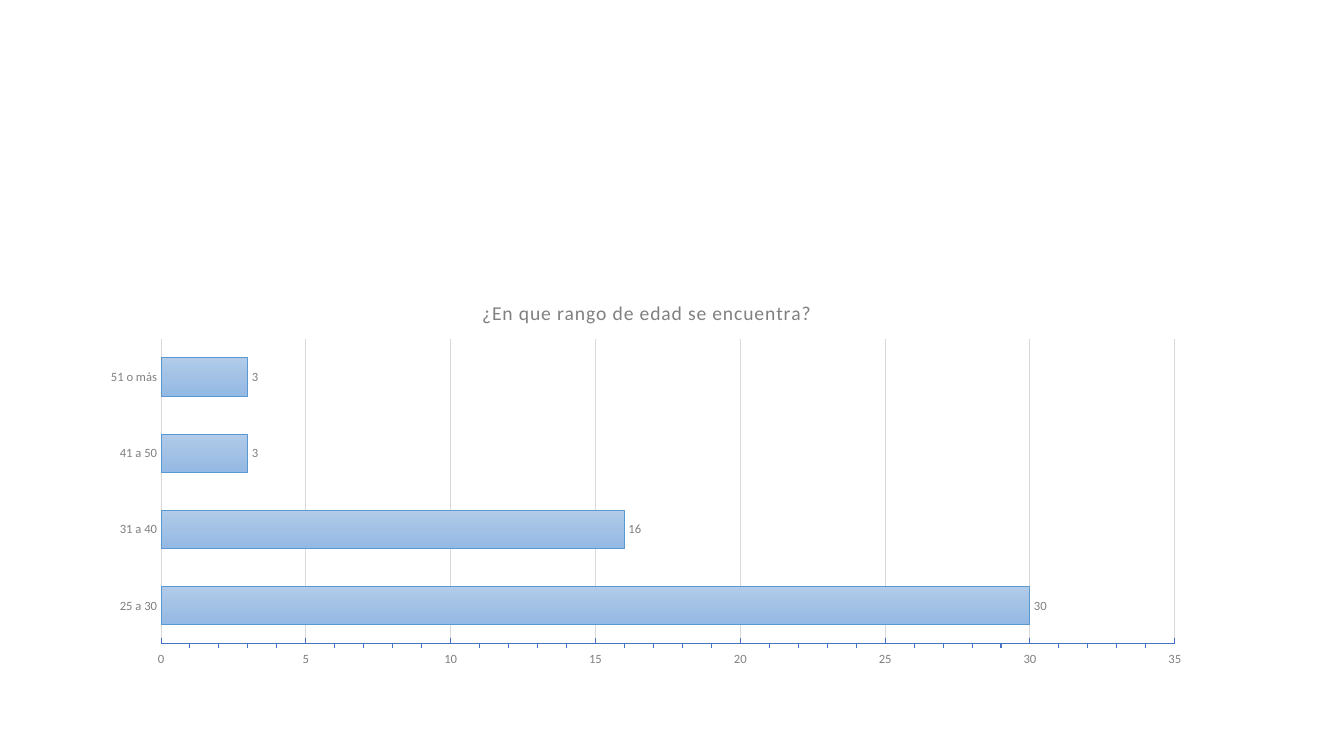
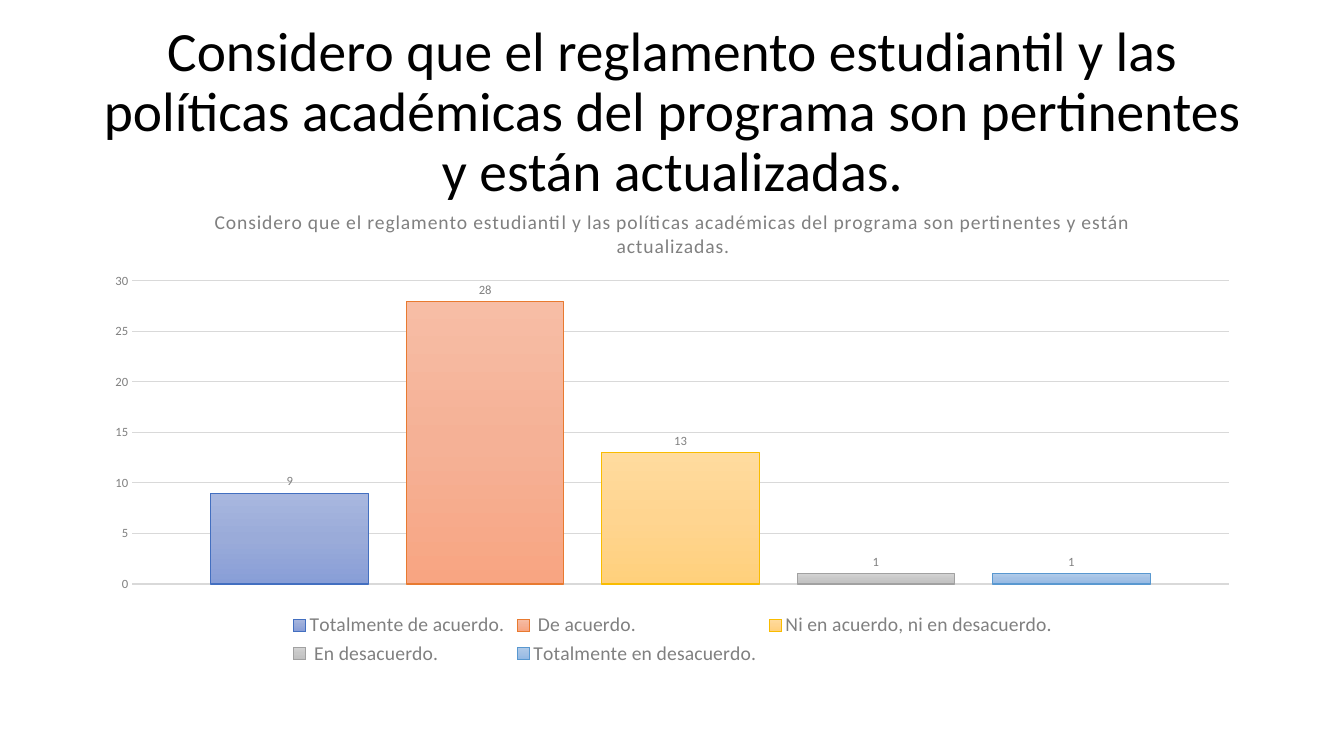
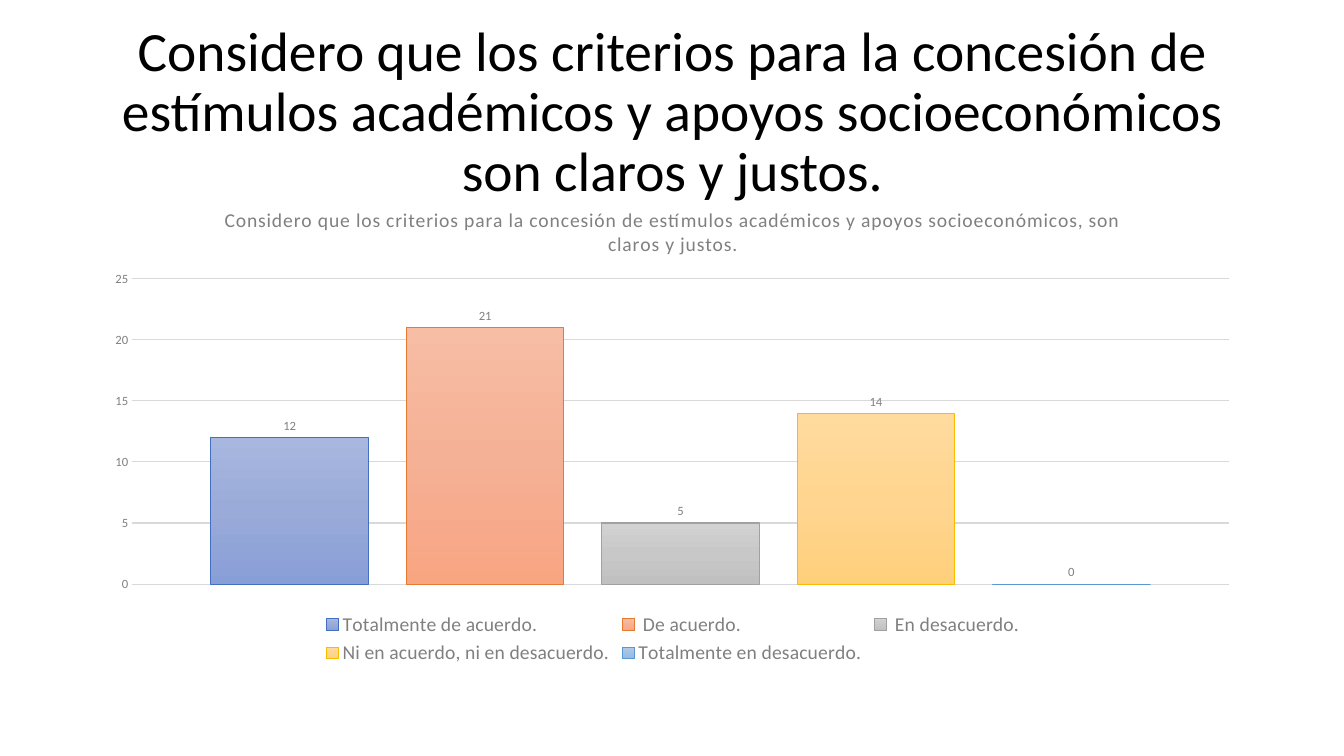
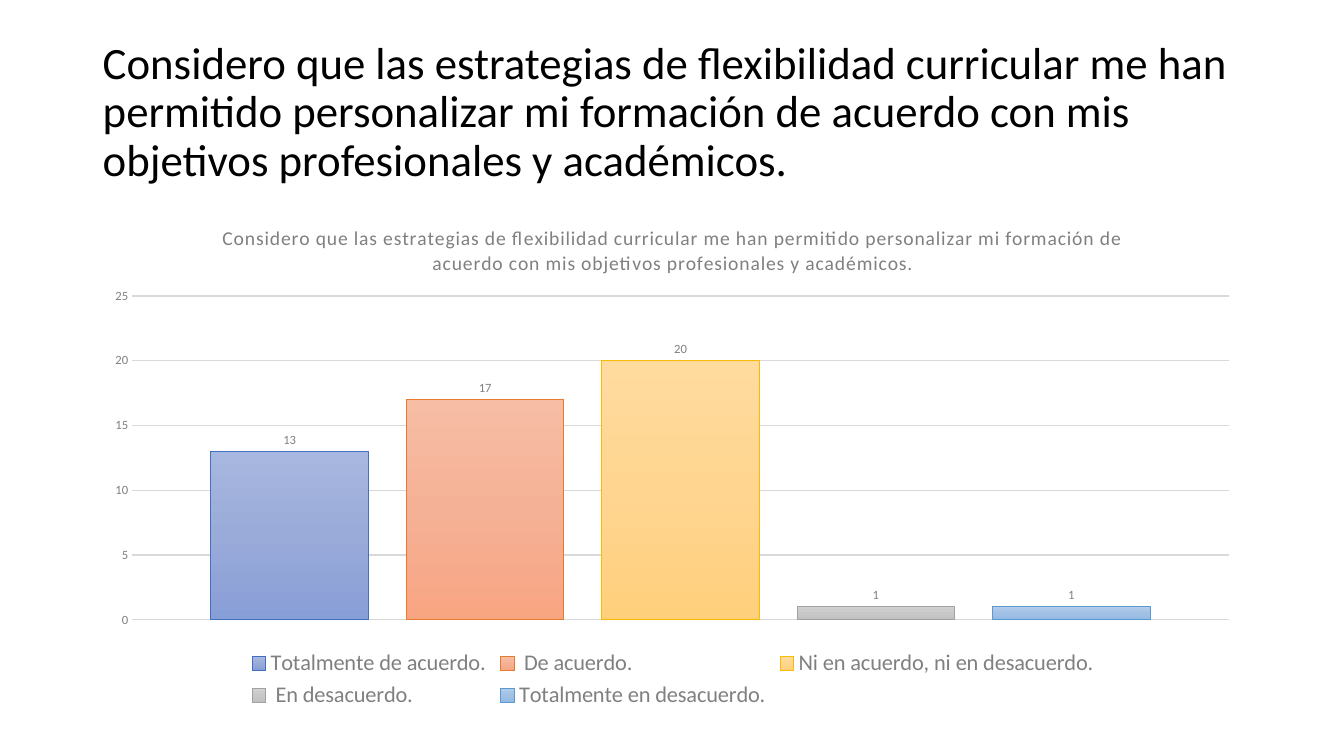
from copy import deepcopy

from pptx import Presentation
from pptx.chart.data import CategoryChartData
from pptx.dml.color import RGBColor
from pptx.enum import chart as kinds, text
from pptx.oxml import parse_xml
from pptx.oxml.ns import nsdecls, qn
from pptx.util import Cm, Pt

FONT = "Calibri"
BLACK = RGBColor(0x00, 0x00, 0x00)
GREY = RGBColor(0x80, 0x80, 0x80)
RULE = RGBColor(0xD9, 0xD9, 0xD9)
AXIS_BLUE = RGBColor(0x44, 0x72, 0xC4)


def palette(*codes):
    return [RGBColor.from_string(code) for code in codes]


INDIGO = palette("A8B7DF", "9AABD9", "889ED7", "436FC0")
ORANGE = palette("F7BDA5", "F5B196", "F8A582", "E87A30")
YELLOW = palette("FFDB9E", "FFD590", "FFD07C", "F9BC00")
SILVER = palette("D2D2D2", "C8C8C8", "C0C0C0", "A1A1A1")
SKY = palette("B1CBE9", "A3C1E5", "93B9E4", "5998D0")

FULLY_AGREE = "Totalmente de acuerdo."
AGREE = " De acuerdo."
NEUTRAL = "Ni en acuerdo, ni en desacuerdo."
DISAGREE = " En desacuerdo."
FULLY_DISAGREE = "Totalmente en desacuerdo."
ANSWER_COLOURS = {FULLY_AGREE: INDIGO, AGREE: ORANGE, NEUTRAL: YELLOW,
                  DISAGREE: SILVER, FULLY_DISAGREE: SKY}

HEADING_BOX = (2.34, 1.02, 29.21, 3.68)
AGE_BOX = (2.24, 7.11, 28.12, 9.91)
AGE_PLOT = (4.06, 8.54, 25.55, 7.69)
ANSWER_LEFT, ANSWER_WIDTH = 2.34, 29.24
PLOT_LEFT, PLOT_WIDTH = 3.33, 27.64

AGE_QUESTION = "¿En que rango de edad se encuentra?"
AGES = {"25 a 30": 30, "31 a 40": 16, "41 a 50": 3, "51 o más": 3}

RULES = ("Considero que el reglamento estudiantil y las políticas académicas "
         "del programa son pertinentes y están actualizadas.")
FLEXIBILITY = ("Considero que las estrategias de flexibilidad curricular me han "
               "permitido personalizar mi formación de acuerdo con mis objetivos "
               "profesionales y académicos.")

QUESTIONS = [
    dict(heading=RULES, size=39.6, align=text.PP_ALIGN.CENTER, question=RULES,
         answers={FULLY_AGREE: 9, AGREE: 28, NEUTRAL: 13, DISAGREE: 1, FULLY_DISAGREE: 1},
         rows=(4.78, 12.09), plot_rows=(7.08, 7.64), maximum=30, legend_size=14),
    dict(heading="Considero que los criterios para la concesión de estímulos "
                 "académicos y apoyos socioeconómicos son claros y justos.",
         size=39.6, align=text.PP_ALIGN.CENTER,
         question="Considero que los criterios para la concesión de estímulos "
                  "académicos y apoyos socioeconómicos, son claros y justos.",
         answers={FULLY_AGREE: 12, AGREE: 21, DISAGREE: 5, NEUTRAL: 14, FULLY_DISAGREE: 0},
         rows=(4.72, 12.14), plot_rows=(7.03, 7.69), maximum=25, legend_size=14),
    dict(heading=FLEXIBILITY, size=32, align=text.PP_ALIGN.LEFT, question=FLEXIBILITY,
         answers={FULLY_AGREE: 13, AGREE: 17, NEUTRAL: 20, DISAGREE: 1, FULLY_DISAGREE: 1},
         rows=(5.18, 12.8), plot_rows=(7.46, 8.16), maximum=25, legend_size=16),
]


def style_font(font, size, colour=GREY):
    font.name = FONT
    font.size = Pt(size)
    font.bold = False
    font.color.rgb = colour


def style_line(line, colour):
    line.color.rgb = colour
    line.width = Pt(0.75)


def add_heading(page, words, size, align):
    box = page.shapes.add_textbox(*map(Cm, HEADING_BOX))
    frame = box.text_frame
    frame.word_wrap = True
    frame.vertical_anchor = text.MSO_ANCHOR.MIDDLE
    para = frame.paragraphs[0]
    para.alignment = align
    para.line_spacing = 0.9
    span = para.add_run()
    span.text = words
    style_font(span.font, size, BLACK)


def place_plot(chart, box, plot_box):
    left, top, width, height = box
    x, y, w, h = plot_box
    shares = dict(x=(x - left) / width, y=(y - top) / height, w=w / width, h=h / height)
    values = "".join(f'<c:{key} val="{share:.4f}"/>' for key, share in shares.items())
    layout = parse_xml(
        f'<c:layout {nsdecls("c")}><c:manualLayout><c:layoutTarget val="inner"/>'
        f'<c:xMode val="edge"/><c:yMode val="edge"/>{values}</c:manualLayout></c:layout>')
    area = chart._chartSpace.chart.plotArea
    for old in area.findall(qn("c:layout")):
        area.remove(old)
    area.insert(0, layout)


def style_series(series, colours):
    *shades, edge = colours
    fill = series.format.fill
    fill.gradient()
    fill.gradient_angle = 270
    first = next(series._element.iter(qn("a:gs")))
    first.addnext(deepcopy(first))
    for stop, shade, position in zip(fill.gradient_stops, shades, (0, 0.5, 1)):
        stop.color.rgb = shade
        stop.position = position
    style_line(series.format.line, edge)
    series.invert_if_negative = False
    labels = series.data_labels
    labels.show_value = True
    labels.position = kinds.XL_LABEL_POSITION.OUTSIDE_END
    style_font(labels.font, 9)


def add_bars(page, kind, question, categories, series_values, colours, box, plot_box, maximum):
    data = CategoryChartData()
    data.categories = categories
    for name, values in series_values.items():
        data.add_series(name, values)
    chart = page.shapes.add_chart(kind, *map(Cm, box), data).chart
    style_font(chart.font, 10, BLACK)
    chart.has_legend = False
    chart.has_title = True
    span = chart.chart_title.text_frame.paragraphs[0].add_run()
    span.text = question
    style_font(span.font, 14)
    span._r.get_or_add_rPr().set("spc", "50")
    chart.chart_title.include_in_layout = False
    place_plot(chart, box, plot_box)

    plot = chart.plots[0]
    plot.vary_by_categories = False
    plot.gap_width = 100
    for series, shades in zip(plot.series, colours):
        style_series(series, shades)

    axis = chart.value_axis
    axis.minimum_scale, axis.maximum_scale = 0, maximum
    axis.major_unit = 5
    axis.major_tick_mark = kinds.XL_TICK_MARK.NONE
    axis.has_major_gridlines = True
    style_line(axis.major_gridlines.format.line, RULE)
    style_font(axis.tick_labels.font, 9)
    return chart


def add_age_page(page):
    chart = add_bars(page, kinds.XL_CHART_TYPE.BAR_CLUSTERED, AGE_QUESTION, list(AGES),
                     {"Series 1": list(AGES.values())}, [SKY], AGE_BOX, AGE_PLOT, 35)
    values, ages = chart.value_axis, chart.category_axis
    values.minor_unit = 1
    values.major_tick_mark = kinds.XL_TICK_MARK.INSIDE
    values.minor_tick_mark = kinds.XL_TICK_MARK.OUTSIDE
    style_line(values.format.line, AXIS_BLUE)
    ages.major_tick_mark = kinds.XL_TICK_MARK.NONE
    style_line(ages.format.line, RULE)
    style_font(ages.tick_labels.font, 9)


def add_answer_page(page, item):
    add_heading(page, item["heading"], item["size"], item["align"])
    top, height = item["rows"]
    plot_top, plot_height = item["plot_rows"]
    answers = item["answers"]
    chart = add_bars(page, kinds.XL_CHART_TYPE.COLUMN_CLUSTERED, item["question"], ["1"],
                     {name: [count] for name, count in answers.items()},
                     [ANSWER_COLOURS[name] for name in answers],
                     (ANSWER_LEFT, top, ANSWER_WIDTH, height),
                     (PLOT_LEFT, plot_top, PLOT_WIDTH, plot_height), item["maximum"])
    chart.plots[0].overlap = -24
    chart.category_axis.visible = False
    chart.value_axis.format.line.fill.background()
    chart.has_legend = True
    chart.legend.position = kinds.XL_LEGEND_POSITION.BOTTOM
    chart.legend.include_in_layout = False
    style_font(chart.legend.font, item["legend_size"])


def main():
    deck = Presentation()
    deck.slide_width, deck.slide_height = Cm(33.87), Cm(19.05)
    blank = deck.slide_layouts[6]
    add_age_page(deck.slides.add_slide(blank))
    for item in QUESTIONS:
        add_answer_page(deck.slides.add_slide(blank), item)
    deck.save("out.pptx")


if __name__ == "__main__":
    main()
